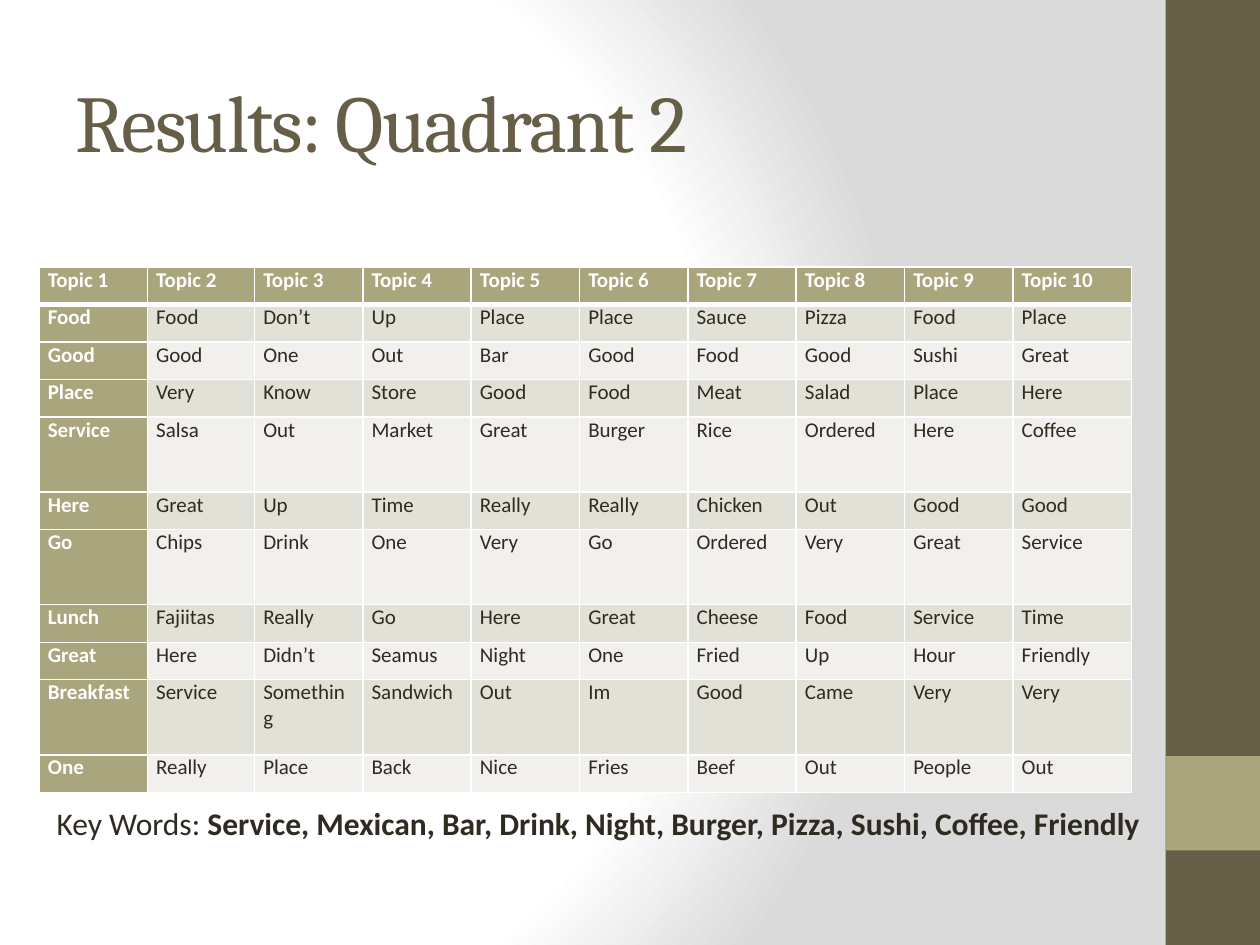
from lxml import etree
from pptx import Presentation
from pptx import util as u
from pptx.dml.color import RGBColor
from pptx.enum import shapes, text
from pptx.oxml import parse_xml
from pptx.oxml.ns import nsdecls, qn


class Theme:
    dark, olive, ink, white = "675E47", "A9A57C", "2F2B20", "FFFFFF"
    bands, shade = ("F1F0EC", "E2E1D7"), "DADADA"
    head, body = "Cambria", "Calibri"
    big, mid, small = 46, 18, 12


def style(para, face, size, tint, bold=None):
    font = para.font
    font.name, font.size, font.bold = face, u.Pt(size), bold
    font.color.rgb = RGBColor.from_string(tint)


def edge(cell, side, width):
    """Add a white border; call before the cell is filled, as borders come first."""
    line = etree.SubElement(cell._tc.get_or_add_tcPr(), qn(f"a:ln{side}"), w=str(u.Pt(width)))
    fill = etree.SubElement(line, qn("a:solidFill"))
    etree.SubElement(fill, qn("a:srgbClr"), val=Theme.white)


deck = Presentation()
deck.slide_width, deck.slide_height = u.Inches(10), u.Inches(7.5)
slide = deck.slides.add_slide(deck.slide_layouts[6])

# Background: white glow fading to grey
slide.background.fill.solid()
back = slide.element.find(".//" + qn("p:bgPr"))
stops = "".join(
    f'<a:gs pos="{pos}000"><a:srgbClr val="{tint}"/></a:gs>'
    for pos, tint in ((0, Theme.white), (75, Theme.white), (100, Theme.shade))
)
back.replace(back[0], parse_xml(
    f'<a:gradFill {nsdecls("a")} rotWithShape="1"><a:gsLst>{stops}</a:gsLst>'
    '<a:path path="circle"><a:fillToRect l="20000" t="50000" r="100000" b="50000"/></a:path>'
    '</a:gradFill>'
))

# Side bar and its accent
for top, high, tint in ((0, 7.5, Theme.dark), (6, 0.75, Theme.olive)):
    bar = slide.shapes.add_shape(
        shapes.MSO_SHAPE.RECTANGLE, u.Inches(9.25), u.Inches(top), u.Inches(0.75), u.Inches(high))
    bar.shadow.inherit = False
    bar.fill.solid()
    bar.fill.fore_color.rgb = RGBColor.from_string(tint)
    bar.line.fill.background()

# Title
frame = slide.shapes.add_textbox(
    u.Inches(0.5), u.Inches(0.33), u.Inches(8.33), u.Inches(1.25)).text_frame
frame.word_wrap = True
frame.vertical_anchor = text.MSO_ANCHOR.MIDDLE
para = frame.paragraphs[0]
para.text = "Results: Quadrant 2"
style(para, Theme.head, Theme.big, Theme.dark)
para.runs[0]._r.get_or_add_rPr().set("spc", "-100")

# Topic table
words = [
    [f"Topic {n}" for n in range(1, 11)],
    *(line.split() for line in (
        "Food Food Don’t Up Place Place Sauce Pizza Food Place",
        "Good Good One Out Bar Good Food Good Sushi Great",
        "Place Very Know Store Good Food Meat Salad Place Here",
        "Service Salsa Out Market Great Burger Rice Ordered Here Coffee",
        "Here Great Up Time Really Really Chicken Out Good Good",
        "Go Chips Drink One Very Go Ordered Very Great Service",
        "Lunch Fajiitas Really Go Here Great Cheese Food Service Time",
        "Great Here Didn’t Seamus Night One Fried Up Hour Friendly",
        "Breakfast Service Something Sandwich Out Im Good Came Very Very",
        "One Really Place Back Nice Fries Beef Out People Out",
    )),
]
wide, high = u.Inches(8.67), u.Inches(4.17)
tall = {4, 6, 9}
unit = high // (len(words) + len(tall))
grid = slide.shapes.add_table(
    len(words), 10, u.Inches(0.31), u.Inches(2.12), wide, high).table
grid.first_col = True
for col in grid.columns:
    col.width = u.Inches(0.86)
grid.columns[1].width = u.Inches(0.85)
grid.columns[9].width = u.Inches(0.94)

for r, line in enumerate(words):
    grid.rows[r].height = unit * (2 if r in tall else 1)
    for c, word in enumerate(line):
        cell = grid.cell(r, c)
        key = r == 0 or c == 0
        for side in "LRTB":
            heavy = (r == 0 and side == "B") or (r == 1 and side == "T")
            edge(cell, side, 3 if heavy else 1)
        cell.fill.solid()
        cell.fill.fore_color.rgb = RGBColor.from_string(Theme.olive if key else Theme.bands[r % 2])
        cell.margin_left = cell.margin_right = u.Inches(0.07)
        cell.margin_top = cell.margin_bottom = 0
        cell.text = word
        style(cell.text_frame.paragraphs[0], Theme.body, Theme.small,
              Theme.white if key else Theme.ink, key)

# Key words
frame = slide.shapes.add_textbox(
    u.Inches(0.35), u.Inches(6.33), u.Inches(8.89), u.Inches(0.4)).text_frame
frame.word_wrap = False
frame.auto_size = text.MSO_AUTO_SIZE.SHAPE_TO_FIT_TEXT
frame.vertical_anchor = text.MSO_ANCHOR.MIDDLE
para = frame.paragraphs[0]
style(para, Theme.body, Theme.mid, Theme.ink)
para.add_run().text = "Key Words: "
run = para.add_run()
run.text = "Service, Mexican, Bar, Drink, Night, Burger, Pizza, Sushi, Coffee, Friendly"
run.font.bold = True

deck.save("out.pptx")
